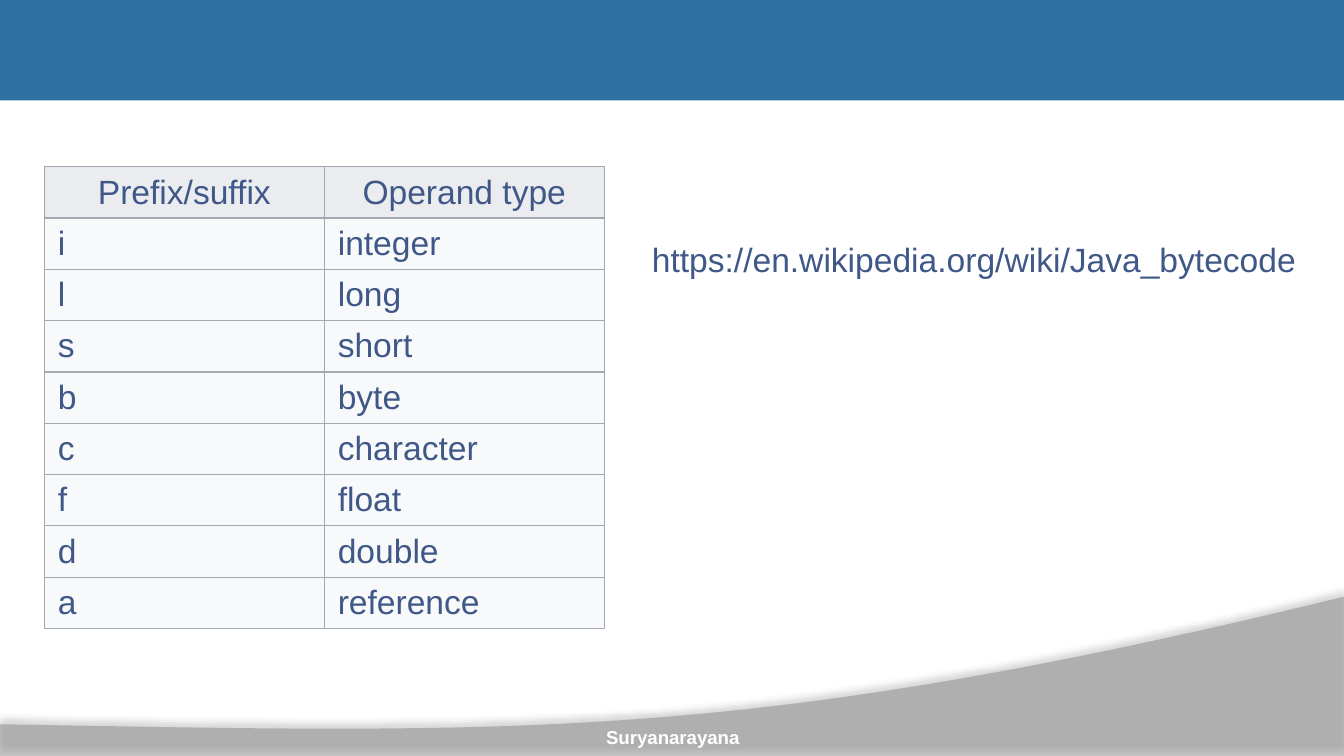
"""Build a slide listing the Java bytecode operand prefixes and suffixes."""
import lxml.etree
import pptx
import pptx.dml.color
import pptx.enum.shapes
import pptx.enum.text
import pptx.oxml
import pptx.oxml.ns
import pptx.util

Cm, Pt = pptx.util.Cm, pptx.util.Pt
ALIGN = pptx.enum.text.PP_ALIGN
ANCHOR = pptx.enum.text.MSO_ANCHOR
qn = pptx.oxml.ns.qn
NS = pptx.oxml.ns.nsdecls("a")


def rgb(value):
    """Turn a hex string into a colour."""
    return pptx.dml.color.RGBColor.from_string(value)


def write(frame, text, style, align=ALIGN.LEFT):
    """Put one formatted paragraph in a text frame."""
    paragraph = frame.paragraphs[0]
    paragraph.alignment = align
    run = paragraph.add_run()
    run.text = text
    for name, value in style["font"].items():
        setattr(run.font, name, value)
    run.font.color.rgb = rgb(style["color"])


body = {"font": {"name": "Arial", "size": Pt(18)}, "color": "405888"}
credit = {"font": {"name": "Arial", "size": Pt(10), "bold": True}, "color": "FFFFFF"}

deck = pptx.Presentation()
deck.slide_width, deck.slide_height = Cm(25.4), Cm(14.29)
slide = deck.slides.add_slide(deck.slide_layouts[6])
shapes = slide.shapes

curve = [(25.4, 11.28), (14.2, 14.02), (9.93, 13.87), (0, 13.69)]
steps = 48
crest = []
for step in range(1, steps + 1):
    t = step / steps
    weights = [(1 - t) ** 3, 3 * t * (1 - t) ** 2, 3 * t ** 2 * (1 - t), t ** 3]
    crest.append(tuple(Cm(sum(w * point[axis] for w, point in zip(weights, curve)))
                       for axis in (0, 1)))
builder = shapes.build_freeform(0, Cm(13.69), scale=1.0)
builder.add_line_segments(
    [(0, Cm(14.29)), (Cm(25.4), Cm(14.29)), (Cm(25.4), Cm(11.28))] + crest, close=True)
wave = builder.convert_to_shape()
wave.fill.solid()
wave.fill.fore_color.rgb = rgb("7F7F7F")
wave.line.fill.background()
wave_color = wave.fill._xPr.find(qn("a:solidFill"))[0]
lxml.etree.SubElement(wave_color, qn("a:alpha"), val="45000")
wave.element.spPr.append(pptx.oxml.parse_xml(
    f'<a:effectLst {NS}><a:outerShdw blurRad="{Pt(4)}" dist="{Pt(3.5)}" dir="16200000">'
    '<a:srgbClr val="000000"><a:alpha val="35000"/></a:srgbClr>'
    '</a:outerShdw></a:effectLst>'))

banner = shapes.add_shape(pptx.enum.shapes.MSO_SHAPE.RECTANGLE, 0, 0, Cm(25.4), Cm(1.9))
banner.shadow.inherit = False
banner.fill.solid()
banner.fill.fore_color.rgb = rgb("2F71A2")
banner.line.fill.background()

operands = [
    ("Prefix/suffix", "Operand type"),
    ("i", "integer"),
    ("l", "long"),
    ("s", "short"),
    ("b", "byte"),
    ("c", "character"),
    ("f", "float"),
    ("d", "double"),
    ("a", "reference"),
]
row_height = Cm(0.97)
cell_format = {"vertical_anchor": ANCHOR.MIDDLE, "margin_top": Cm(0.11), "margin_bottom": Cm(0.11)}
operand_table = shapes.add_table(len(operands), 2, Cm(0.84), Cm(3.15), Cm(10.58),
                                 row_height * len(operands)).table
for row, entries in enumerate(operands):
    operand_table.rows[row].height = row_height
    for column, entry in enumerate(entries):
        cell = operand_table.cell(row, column)
        for name, value in cell_format.items():
            setattr(cell, name, value)
        write(cell.text_frame, entry, body, ALIGN.LEFT if row else ALIGN.CENTER)
        for side in ("lnL", "lnR", "lnT", "lnB"):
            cell._tc.get_or_add_tcPr().append(pptx.oxml.parse_xml(
                f'<a:{side} {NS} w="{Pt(0.75)}"><a:solidFill>'
                f'<a:srgbClr val="A2A9B1"/></a:solidFill></a:{side}>'))
        cell.fill.solid()
        cell.fill.fore_color.rgb = rgb("F8F9FA" if row else "EAECF0")

reference = shapes.add_textbox(Cm(12.07), Cm(4.39), Cm(12.85), Cm(1.02)).text_frame
reference.word_wrap = True
reference.auto_size = pptx.enum.text.MSO_AUTO_SIZE.SHAPE_TO_FIT_TEXT
write(reference, "https://en.wikipedia.org/wiki/Java_bytecode", body)

footer = shapes.add_textbox(Cm(8.69), Cm(13.39), Cm(8.05), Cm(0.76)).text_frame
footer_format = {"word_wrap": True, "vertical_anchor": ANCHOR.BOTTOM, "margin_left": 0,
                 "margin_top": Cm(0.13), "margin_right": 0, "margin_bottom": 0}
for name, value in footer_format.items():
    setattr(footer, name, value)
write(footer, "Suryanarayana", credit, ALIGN.CENTER)

deck.save("out.pptx")
